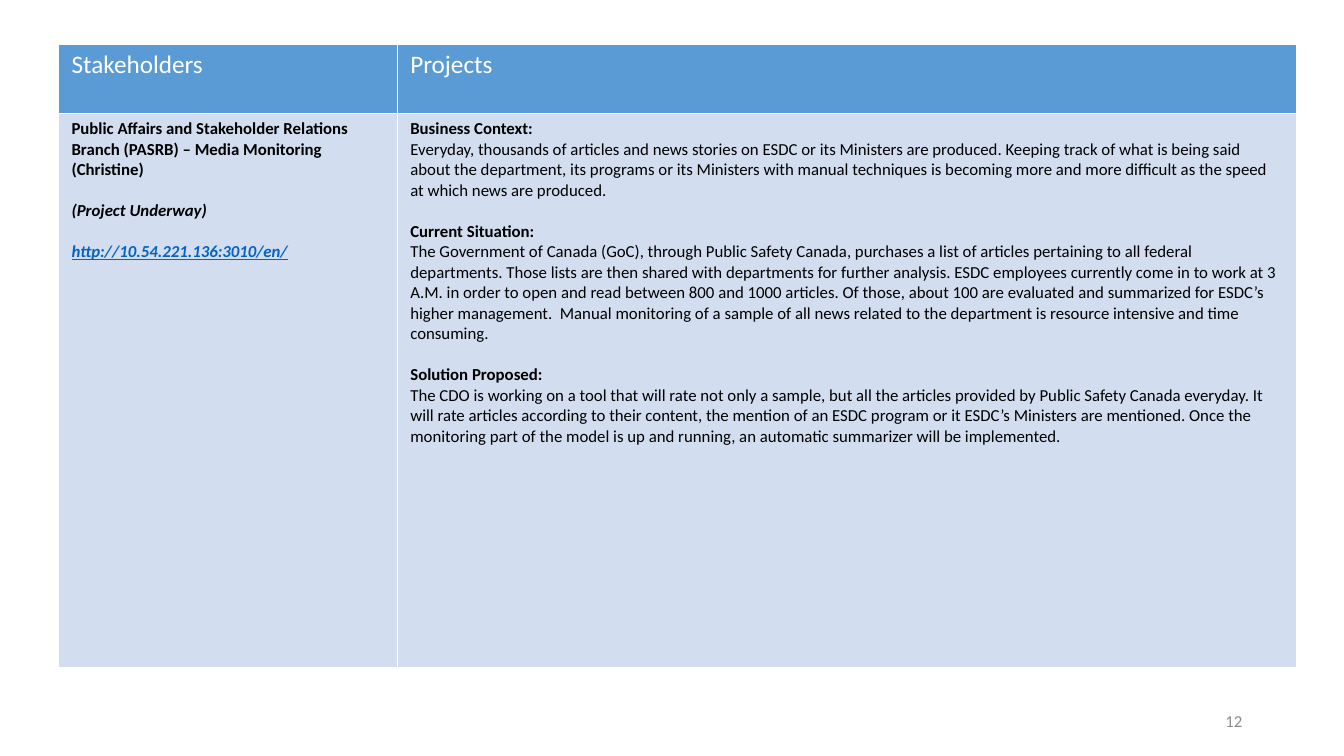
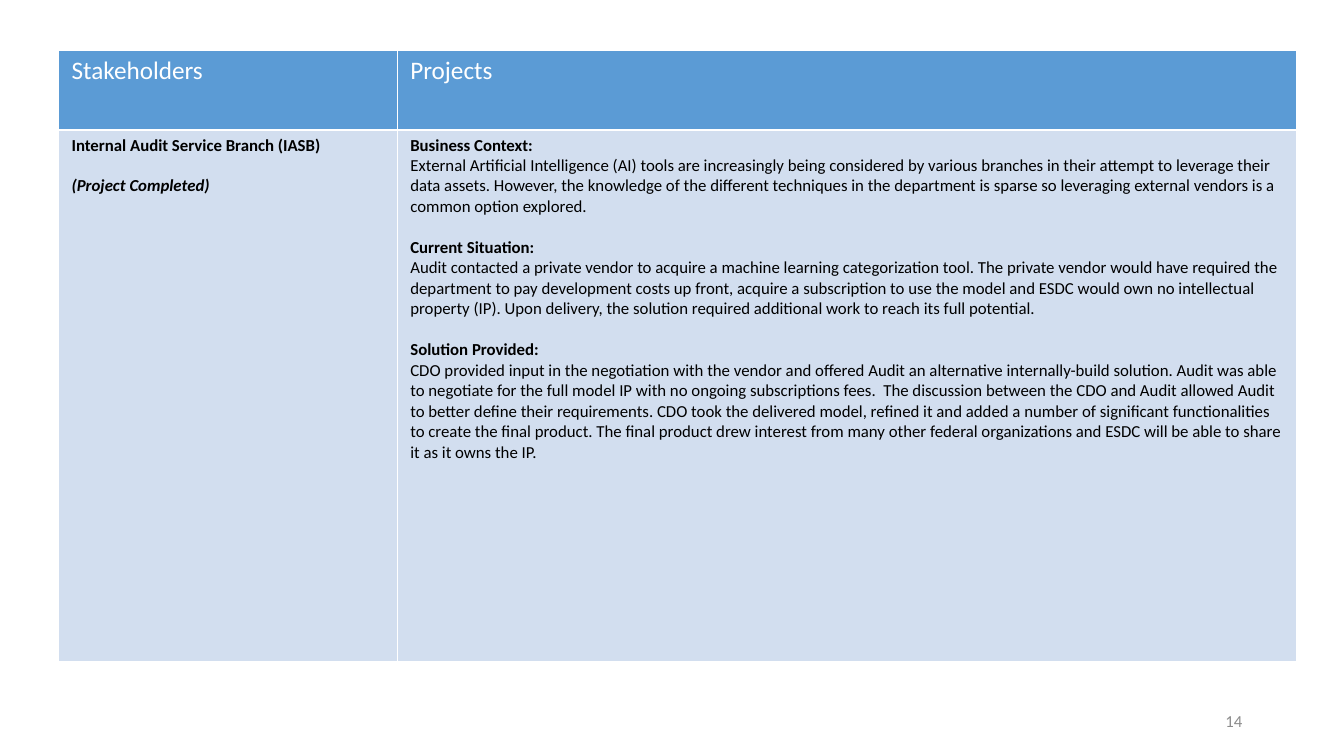
from dataclasses import dataclass

from lxml import etree
from pptx import Presentation
from pptx.dml.color import RGBColor
from pptx.enum.text import MSO_ANCHOR, PP_ALIGN
from pptx.oxml.ns import qn
from pptx.util import Inches, Pt

LEFT, RIGHT = PP_ALIGN.LEFT, PP_ALIGN.RIGHT
MIDDLE = MSO_ANCHOR.MIDDLE


@dataclass(frozen=True)
class Theme:
    font: str = "Calibri"
    head: RGBColor = RGBColor(0x5B, 0x9B, 0xD5)
    body: RGBColor = RGBColor(0xD2, 0xDE, 0xEF)
    white: RGBColor = RGBColor(0xFF, 0xFF, 0xFF)
    black: RGBColor = RGBColor(0, 0, 0)
    link: RGBColor = RGBColor(0x05, 0x63, 0xC1)
    grey: RGBColor = RGBColor(0x8C, 0x8C, 0x8C)
    large: int = 18
    small: int = 12
    gap: float = 14.65


theme = Theme()


def write(frame, text, size=theme.small, color=theme.black, bold=False,
          italic=False, underline=False, align=LEFT, before=0):
    para = frame.paragraphs[0]
    if para.runs:
        para = frame.add_paragraph()
    para.alignment = align
    para.space_before = Pt(before)
    run = para.add_run()
    run.text = text
    font = run.font
    font.name, font.size, font.color.rgb = theme.font, Pt(size), color
    font.bold, font.italic, font.underline = bold, italic, underline


def paint(cell, color):
    cell.margin_left = cell.margin_right = Inches(0.13)
    cell.margin_top = cell.margin_bottom = Inches(0.05)
    props = cell._tc.get_or_add_tcPr()
    for side in ("a:lnL", "a:lnR", "a:lnT", "a:lnB"):
        line = etree.SubElement(props, qn(side), w=str(Pt(1)))
        fill = etree.SubElement(line, qn("a:solidFill"))
        etree.SubElement(fill, qn("a:srgbClr"), val=str(theme.white))
    cell.fill.solid()
    cell.fill.fore_color.rgb = color


pages = [
    {
        "number": "12", "top": 0.44, "rows": (0.69, 5.49),
        "branch": "Public Affairs and Stakeholder Relations Branch (PASRB) – Media Monitoring (Christine)",
        "status": "(Project Underway)",
        "link": "http://10.54.221.136:3010/en/",
        "parts": [
            ("Business Context:",
             "Everyday, thousands of articles and news stories on ESDC or its Ministers are produced. "
             "Keeping track of what is being said about the department, its programs or its Ministers "
             "with manual techniques is becoming more and more difficult as the speed at which news "
             "are produced."),
            ("Current Situation:",
             "The Government of Canada (GoC), through Public Safety Canada, purchases a list of articles "
             "pertaining to all federal departments. Those lists are then shared with departments for "
             "further analysis. ESDC employees currently come in to work at 3 A.M. in order to open and "
             "read between 800 and 1000 articles. Of those, about 100 are evaluated and summarized for "
             "ESDC’s higher management.  Manual monitoring of a sample of all news related to the "
             "department is resource intensive and time consuming."),
            ("Solution Proposed:",
             "The CDO is working on a tool that will rate not only a sample, but all the articles provided "
             "by Public Safety Canada everyday. It will rate articles according to their content, the "
             "mention of an ESDC program or it ESDC’s Ministers are mentioned. Once the monitoring part "
             "of the model is up and running, an automatic summarizer will be implemented."),
        ],
    },
    {
        "number": "14", "top": 0.5, "rows": (0.79, 5.27),
        "branch": "Internal Audit Service Branch (IASB)",
        "status": "(Project Completed)",
        "link": None,
        "parts": [
            ("Business Context:",
             "External Artificial Intelligence (AI) tools are increasingly being considered by various "
             "branches in their attempt to leverage their data assets. However, the knowledge of the "
             "different techniques in the department is sparse so leveraging external vendors is a "
             "common option explored."),
            ("Current Situation:",
             "Audit contacted a private vendor to acquire a machine learning categorization tool. The "
             "private vendor would have required the department to pay development costs up front, "
             "acquire a subscription to use the model and ESDC would own no intellectual property (IP). "
             "Upon delivery, the solution required additional work to reach its full potential."),
            ("Solution Provided:",
             "CDO provided input in the negotiation with the vendor and offered Audit an alternative "
             "internally-build solution. Audit was able to negotiate for the full model IP with no "
             "ongoing subscriptions fees.  The discussion between the CDO and Audit allowed Audit to "
             "better define their requirements. CDO took the delivered model, refined it and added a "
             "number of significant functionalities to create the final product. The final product drew "
             "interest from many other federal organizations and ESDC will be able to share it as it "
             "owns the IP."),
        ],
    },
]
heads = ("Stakeholders", "Projects")
widths = (3.36, 8.92)

deck = Presentation()
deck.slide_width, deck.slide_height = Inches(13.33), Inches(7.5)
blank = deck.slide_layouts[6]

for page in pages:
    slide = deck.slides.add_slide(blank)
    rows = page["rows"]
    table = slide.shapes.add_table(
        len(rows), len(widths), Inches(0.58), Inches(page["top"]),
        Inches(sum(widths)), Inches(sum(rows))).table
    for row, height in zip(table.rows, rows):
        row.height = Inches(height)
    for col, (head, width) in enumerate(zip(heads, widths)):
        table.columns[col].width = Inches(width)
        paint(table.cell(0, col), theme.head)
        paint(table.cell(1, col), theme.body)
        write(table.cell(0, col).text_frame, head, size=theme.large, color=theme.white)

    owner = table.cell(1, 0).text_frame
    write(owner, page["branch"], bold=True)
    write(owner, page["status"], bold=True, italic=True, before=theme.gap)
    if page["link"]:
        write(owner, page["link"], color=theme.link, bold=True, italic=True,
              underline=True, before=theme.gap)

    story = table.cell(1, 1).text_frame
    for index, (label, text) in enumerate(page["parts"]):
        write(story, label, bold=True, before=theme.gap if index else 0)
        write(story, text)

    footer = slide.shapes.add_textbox(
        Inches(9.42), Inches(6.95), Inches(3), Inches(0.4)).text_frame
    footer.word_wrap = True
    footer.vertical_anchor = MIDDLE
    write(footer, page["number"], color=theme.grey, align=RIGHT)

deck.save("out.pptx")
